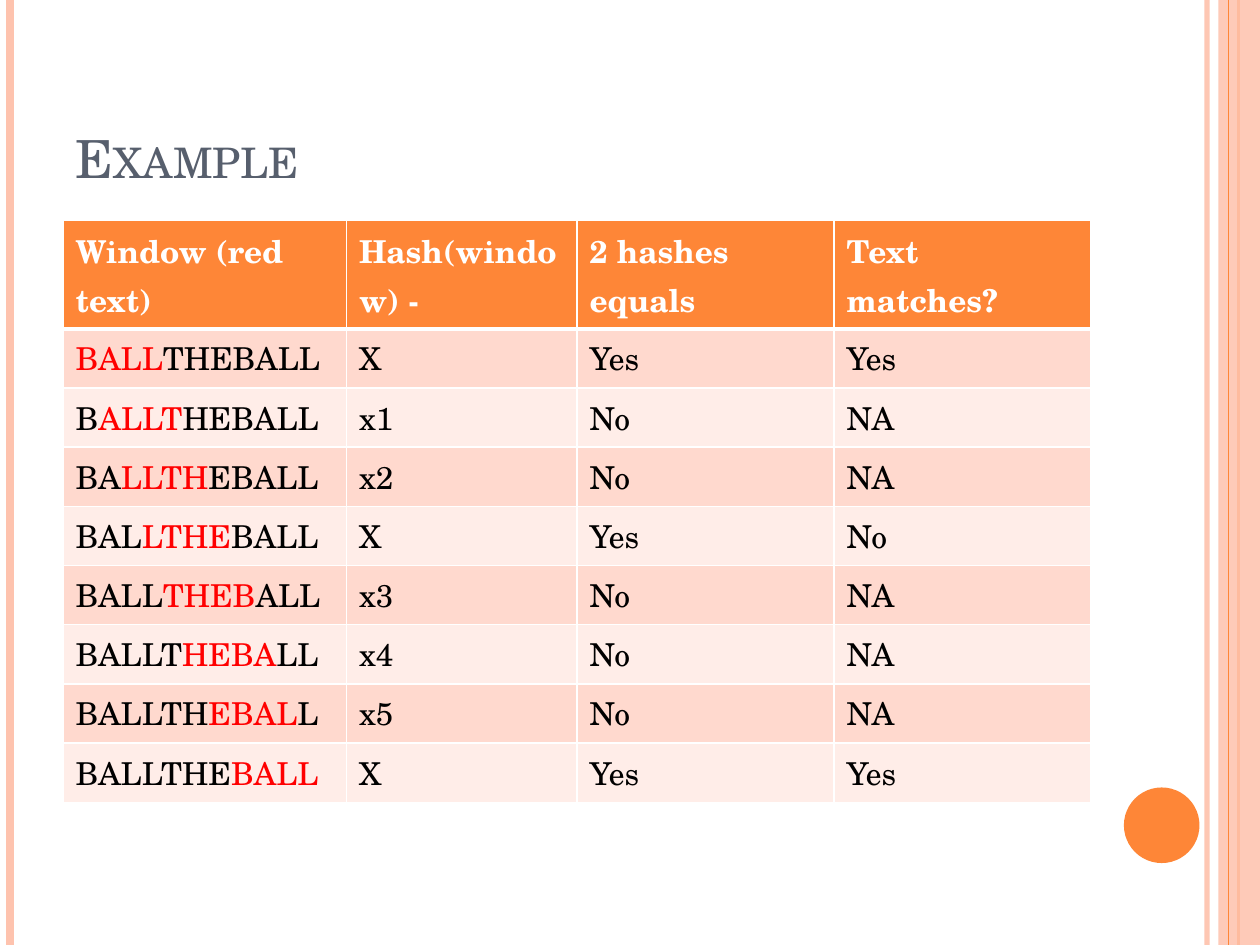
from lxml import etree
from pptx import Presentation
from pptx.dml.color import RGBColor
from pptx.enum import shapes, text
from pptx.oxml import ns
from pptx.util import Inches, Pt

FONT = "TeX Gyre Schola"
ORANGE = RGBColor(0xFE, 0x86, 0x37)
PEACH = RGBColor(0xFE, 0xC3, 0xAE)
BANDS = (RGBColor(0xFF, 0xD9, 0xCE), RGBColor(0xFF, 0xED, 0xE8))
SLATE = RGBColor(0x57, 0x5F, 0x6D)
RED = RGBColor(0xFF, 0, 0)
BLACK = RGBColor(0, 0, 0)
WHITE = RGBColor(0xFF, 0xFF, 0xFF)

TITLE = "Example"
SEARCHED = "BALLTHEBALL"
WINDOW = 4
HEADERS = ("Window (red text)", "Hash(window) -", "2 hashes equals", "Text matches?")
RESULTS = (  # one row for each window start: hash, hashes equal, text matches
    ("X", "Yes", "Yes"),
    ("x1", "No", "NA"),
    ("x2", "No", "NA"),
    ("X", "Yes", "No"),
    ("x3", "No", "NA"),
    ("x4", "No", "NA"),
    ("x5", "No", "NA"),
    ("X", "Yes", "Yes"),
)
COLUMN_WIDTHS = (2.25, 1.83, 2.04, 2.04)
HEADER_HEIGHT, ROW_HEIGHT = 0.86, 0.47
SLIDE_WIDTH, SLIDE_HEIGHT = 10, 7.5


def set_opacity(parent, percent):
    color = next(parent.iter(ns.qn("a:srgbClr")))
    etree.SubElement(color, ns.qn("a:alpha"), val=str(percent * 1000))


def add_stripe(slide, x, color, width, opacity=100):
    """Draw a vertical line over the whole slide height."""
    stripe = slide.shapes.add_connector(
        shapes.MSO_CONNECTOR.STRAIGHT, Inches(x), 0, Inches(x), Inches(SLIDE_HEIGHT))
    stripe.line.color.rgb = color
    stripe.line.width = Pt(width)
    properties = stripe._element.spPr
    if opacity < 100:
        set_opacity(properties, opacity)
    etree.SubElement(properties, ns.qn("a:effectLst"))


def add_plain_shape(slide, kind, left, top, width, height, color):
    shape = slide.shapes.add_shape(
        kind, Inches(left), Inches(top), Inches(width), Inches(height))
    shape.shadow.inherit = False
    shape.fill.solid()
    shape.fill.fore_color.rgb = color
    shape.line.fill.background()
    return shape


def add_run(paragraph, content, size, color, bold=False):
    run = paragraph.add_run()
    run.text = content
    run.font.name = FONT
    run.font.size = Pt(size)
    run.font.color.rgb = color
    run.font.bold = bold
    return run


def set_borders(cell, top, bottom):
    """Give a cell white borders; top and bottom widths are in points."""
    properties = cell._tc.get_or_add_tcPr()
    sides = (("lnL", 1), ("lnR", 1), ("lnT", top), ("lnB", bottom))
    for index, (side, width) in enumerate(sides):
        line = etree.Element(ns.qn(f"a:{side}"), w=str(Pt(width)))
        fill = etree.SubElement(line, ns.qn("a:solidFill"))
        etree.SubElement(fill, ns.qn("a:srgbClr"), val=str(WHITE))
        properties.insert(index, line)


def fill_cell(cell, runs, fill, bold=False, top=1, bottom=1):
    cell.fill.solid()
    cell.fill.fore_color.rgb = fill
    set_borders(cell, top, bottom)
    for content, color in runs:
        if content:
            add_run(cell.text_frame.paragraphs[0], content, 18, color, bold)


def add_decoration(slide):
    add_stripe(slide, 9.58, PEACH, 3, 93)
    add_stripe(slide, 0.08, PEACH, 4.5)
    add_stripe(slide, 9.83, ORANGE, 1.5)
    band = add_plain_shape(slide, shapes.MSO_SHAPE.RECTANGLE,
                           9.67, 0, 0.33, SLIDE_HEIGHT, PEACH)
    set_opacity(band._element.spPr, 87)
    add_stripe(slide, 9.75, ORANGE, 0.75)
    add_plain_shape(slide, shapes.MSO_SHAPE.OVAL, 8.92, 6.25, 0.6, 0.6, ORANGE)


def add_title(slide):
    box = slide.shapes.add_textbox(Inches(0.5), Inches(0.3), Inches(8.17), Inches(1.25))
    frame = box.text_frame
    frame.word_wrap = True
    frame.vertical_anchor = text.MSO_ANCHOR.BOTTOM
    run = add_run(frame.paragraphs[0], TITLE, 30, SLATE)
    run.font._element.set("cap", "small")


def add_hash_table(slide):
    height = HEADER_HEIGHT + ROW_HEIGHT * len(RESULTS)
    table = slide.shapes.add_table(
        len(RESULTS) + 1, len(HEADERS), Inches(0.5), Inches(1.75),
        Inches(sum(COLUMN_WIDTHS)), Inches(height)).table
    for column, width in zip(table.columns, COLUMN_WIDTHS):
        column.width = Inches(width)
    for index, row in enumerate(table.rows):
        row.height = Inches(ROW_HEIGHT if index else HEADER_HEIGHT)

    for column, header in enumerate(HEADERS):
        fill_cell(table.cell(0, column), [(header, WHITE)], ORANGE, bold=True, bottom=3)
    for start, results in enumerate(RESULTS):
        end = start + WINDOW
        window = [(SEARCHED[:start], BLACK), (SEARCHED[start:end], RED),
                  (SEARCHED[end:], BLACK)]
        row = [window] + [[(result, BLACK)] for result in results]
        for column, runs in enumerate(row):
            fill_cell(table.cell(start + 1, column), runs, BANDS[start % 2],
                      top=1 if start else 3)


def main():
    presentation = Presentation()
    presentation.slide_width = Inches(SLIDE_WIDTH)
    presentation.slide_height = Inches(SLIDE_HEIGHT)
    slide = presentation.slides.add_slide(presentation.slide_layouts[6])
    add_decoration(slide)
    add_title(slide)
    add_hash_table(slide)
    presentation.save("out.pptx")


if __name__ == "__main__":
    main()
